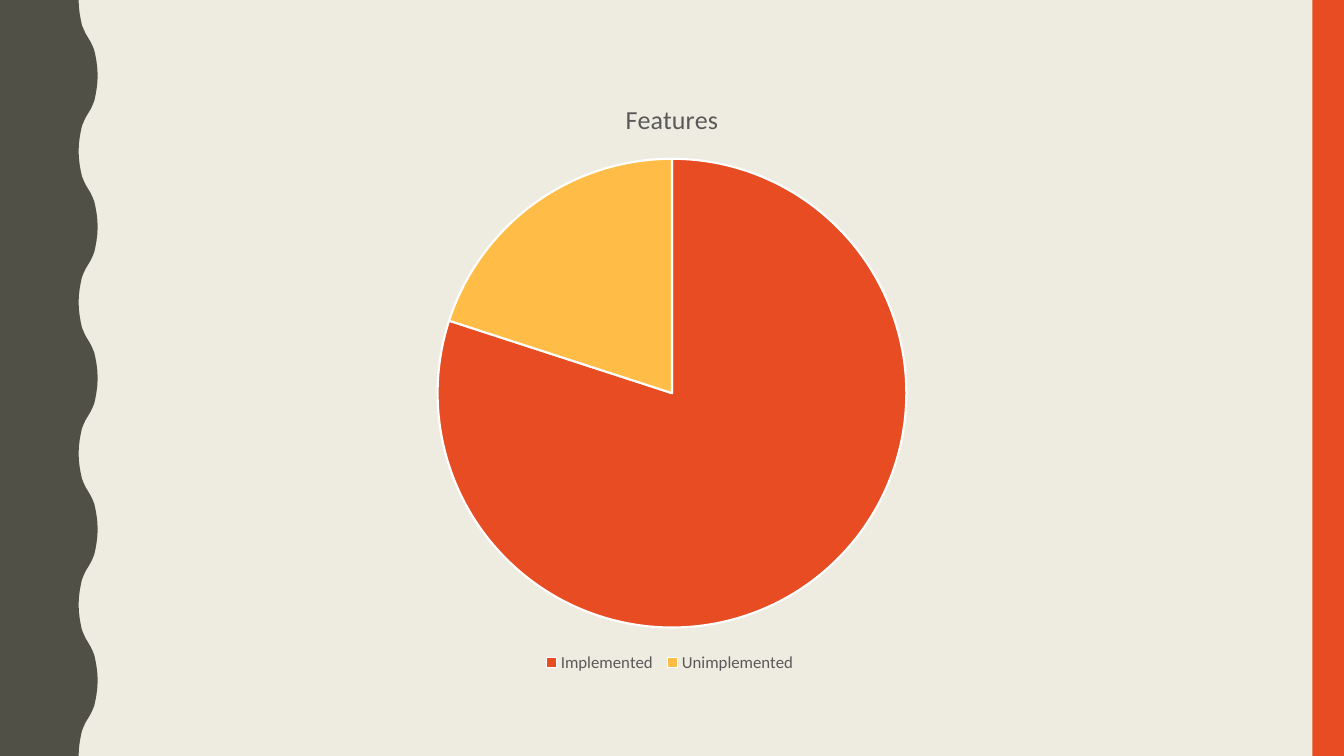
from dataclasses import dataclass

from pptx import Presentation
from pptx.chart.data import CategoryChartData
from pptx.dml.color import RGBColor
from pptx.enum.chart import XL_CHART_TYPE as ChartType, XL_LEGEND_POSITION as LegendPosition
from pptx.enum.shapes import MSO_SHAPE as ShapeKind
from pptx.util import Pt


@dataclass(frozen=True)
class Theme:
    background: RGBColor = RGBColor(0xEE, 0xEC, 0xE1)
    wave: RGBColor = RGBColor(0x50, 0x50, 0x46)
    orange: RGBColor = RGBColor(0xE8, 0x4C, 0x22)
    yellow: RGBColor = RGBColor(0xFF, 0xBD, 0x47)
    white: RGBColor = RGBColor(0xFF, 0xFF, 0xFF)
    black: RGBColor = RGBColor(0, 0, 0)
    gray: RGBColor = RGBColor(0x59, 0x59, 0x59)
    font: str = "Calibri"
    title_size: float = 18.6
    legend_size: float = 12
    base_size: float = 10


@dataclass(frozen=True)
class Slice:
    label: str
    value: int
    color: RGBColor


THEME = Theme()
WIDTH, HEIGHT = 960, 540
STRIPE_WIDTH = 22.5
WAVE_COUNT = 5
WAVE_LENGTH = HEIGHT / WAVE_COUNT
WAVE_MIDDLE = (63, WAVE_LENGTH / 4)
WAVE_QUARTER = [(56.2, 0), (56.4, 5), (57, 10), (57.8, 14.4),
                (58.6, 18), (59.8, 21), (61.2, 24)]
SLICES = [
    Slice("Implemented ", 80, THEME.orange),
    Slice("Unimplemented ", 20, THEME.yellow),
]


def wave_edge() -> list[tuple[float, float]]:
    middle_x, middle_y = WAVE_MIDDLE
    outward = WAVE_QUARTER + [WAVE_MIDDLE]
    outward += [(2 * middle_x - x, 2 * middle_y - y) for x, y in reversed(WAVE_QUARTER)]
    inward = [(x, WAVE_LENGTH - y) for x, y in reversed(outward[:-1])]
    period = outward + inward
    return [(x, y + index * WAVE_LENGTH) for index in range(WAVE_COUNT) for x, y in period]


def paint(shape, color: RGBColor) -> None:
    shape.shadow.inherit = False
    shape.fill.solid()
    shape.fill.fore_color.rgb = color
    shape.line.fill.background()


def style_font(font, size: float, color: RGBColor) -> None:
    font.name = THEME.font
    font.size = Pt(size)
    font.bold = False
    font.color.rgb = color


def draw_wave(page) -> None:
    builder = page.shapes.build_freeform(0, 0)
    outline = wave_edge() + [(0, HEIGHT)]
    builder.add_line_segments([(Pt(x), Pt(y)) for x, y in outline], close=True)
    paint(builder.convert_to_shape(), THEME.wave)


def draw_stripe(page) -> None:
    stripe = page.shapes.add_shape(
        ShapeKind.RECTANGLE, Pt(WIDTH - STRIPE_WIDTH), 0, Pt(STRIPE_WIDTH), Pt(HEIGHT))
    paint(stripe, THEME.orange)


def draw_pie(page, title: str, slices: list[Slice]) -> None:
    data = CategoryChartData()
    data.categories = [part.label for part in slices]
    data.add_series(title, [part.value for part in slices])
    chart = page.shapes.add_chart(
        ChartType.PIE, Pt(160), Pt(56.7), Pt(640), Pt(426.7), data).chart
    style_font(chart.font, THEME.base_size, THEME.black)

    chart.has_title = True
    chart.chart_title.include_in_layout = False
    span = chart.chart_title.text_frame.paragraphs[0].add_run()
    span.text = title
    style_font(span.font, THEME.title_size, THEME.gray)

    chart.has_legend = True
    chart.legend.position = LegendPosition.BOTTOM
    chart.legend.include_in_layout = False
    style_font(chart.legend.font, THEME.legend_size, THEME.gray)

    plot = chart.plots[0]
    plot.vary_by_categories = True
    for index, part in enumerate(slices):
        style = plot.series[0].points[index].format
        style.fill.solid()
        style.fill.fore_color.rgb = part.color
        style.line.color.rgb = THEME.white
        style.line.width = Pt(1.5)


deck = Presentation()
deck.slide_width, deck.slide_height = Pt(WIDTH), Pt(HEIGHT)
page = deck.slides.add_slide(deck.slide_layouts[6])
page.background.fill.solid()
page.background.fill.fore_color.rgb = THEME.background
draw_wave(page)
draw_stripe(page)
draw_pie(page, "Features", SLICES)
deck.save("out.pptx")
